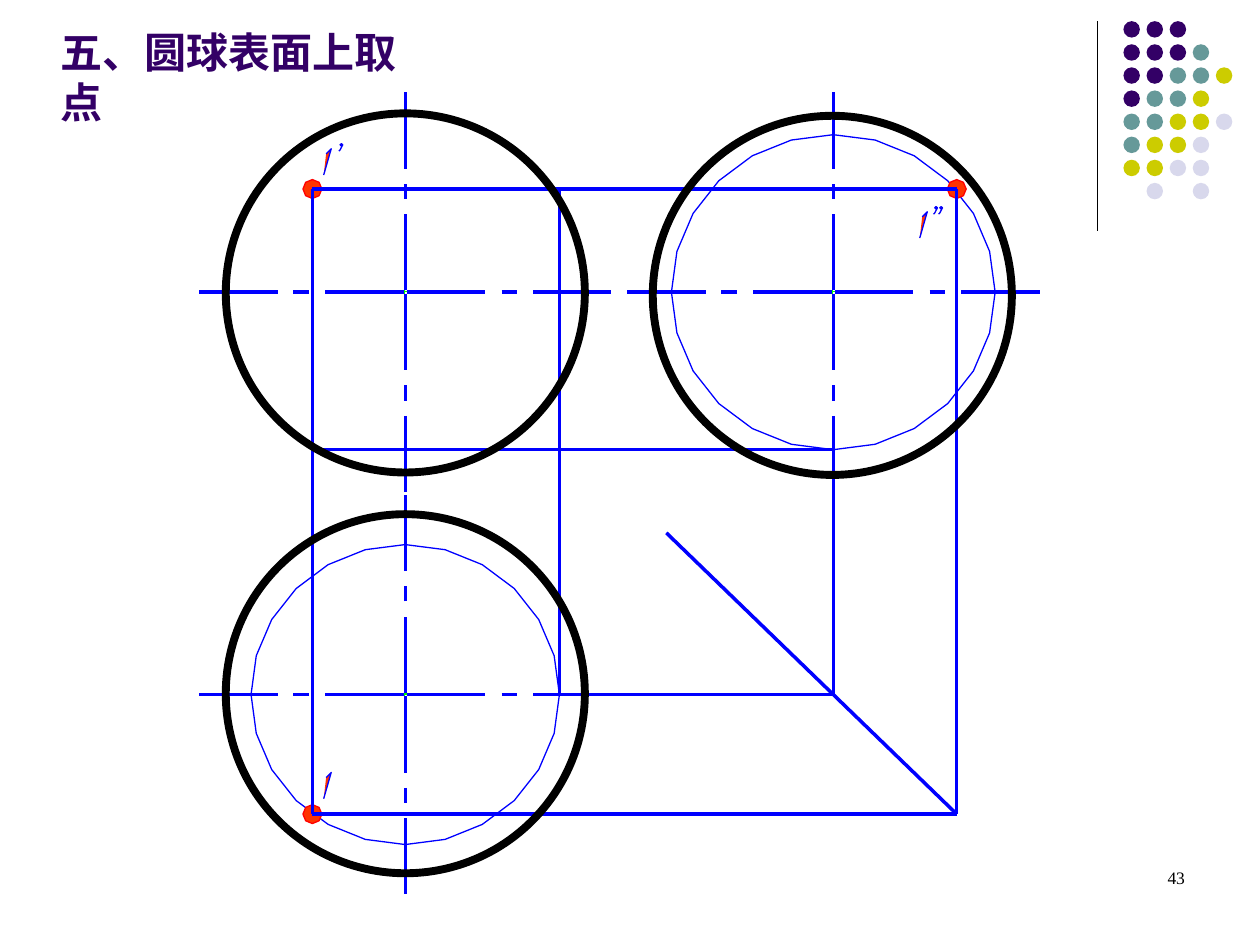
from math import cos, pi, sin

from lxml import etree
from pptx import Presentation
from pptx.dml.color import RGBColor
from pptx.enum.shapes import MSO_CONNECTOR, MSO_SHAPE
from pptx.enum.text import MSO_ANCHOR, MSO_AUTO_SIZE, PP_ALIGN
from pptx.oxml.ns import qn
from pptx.util import Pt

LINE, OVAL = MSO_CONNECTOR.STRAIGHT, MSO_SHAPE.OVAL
LEFT, RIGHT = PP_ALIGN.LEFT, PP_ALIGN.RIGHT
TOP, FIXED = MSO_ANCHOR.TOP, MSO_AUTO_SIZE.NONE

BLACK = RGBColor(0x00, 0x00, 0x00)
BLUE = RGBColor(0x00, 0x00, 0xFF)
GREEN = RGBColor(0x00, 0xFF, 0x00)
RED = RGBColor(0xFF, 0x00, 0x00)
FLAME = RGBColor(0xFF, 0x33, 0x00)
PURPLE = RGBColor(0x33, 0x00, 0x66)
TEAL = RGBColor(0x66, 0x99, 0x99)
LIME = RGBColor(0xCC, 0xCC, 0x00)
PALE = RGBColor(0xD8, 0xD8, 0xEC)

deck = Presentation()
deck.slide_width, deck.slide_height = Pt(720), Pt(540)
slide = deck.slides.add_slide(deck.slide_layouts[5])
shapes = slide.shapes


def write(box, text, size, font, color, bold=False, align=LEFT, wrap=True):
    frame = box.text_frame
    frame.word_wrap = wrap
    frame.auto_size = FIXED
    frame.vertical_anchor = TOP
    para = frame.paragraphs[0]
    para.text = text
    para.alignment = align
    para.font.size = Pt(size)
    para.font.name = font
    para.font.bold = bold
    para.font.color.rgb = color


def trace(points, line=BLUE, fill=None, closed=False):
    """Draw a hairline outline through points given in points of length."""
    first, *rest = [(Pt(x), Pt(y)) for x, y in points]
    pen = shapes.build_freeform(*first)
    pen.add_line_segments(rest, close=closed)
    form = pen.convert_to_shape()
    form.shadow.inherit = False
    form.line.color.rgb = line
    form.line.width = Pt(0)
    if fill is None:
        form.fill.background()
    else:
        form.fill.solid()
        form.fill.fore_color.rgb = fill


# Title and page number
title = shapes.title
title.left, title.top, title.width, title.height = Pt(27.4), Pt(11.5), Pt(230.4), Pt(36)
write(title, "五、圆球表面上取点", 24, "Arial", PURPLE, bold=True, wrap=False)
page = shapes.add_textbox(Pt(516.2), Pt(491.8), Pt(168), Pt(36))
write(page, "43", 10, "Times New Roman", BLACK, align=RIGHT)

# Centres of the three views, and the point's projections
front_x, side_x, front_y, plan_y = 231.6, 476.2, 167, 396.9
point_x, depth_x, point_y, depth_y = 178.5, 546.7, 108, 465.2
ring_x, ring_y = 319.7, 257

# Section circles, drawn with 24 sides
for x, y, wide, high in [(front_x, plan_y, 88.1, 85.7), (side_x, front_y, 92.5, 90)]:
    turns = [k * pi / 12 for k in range(24)]
    trace([(x + wide * cos(t), y + high * sin(t)) for t in turns], closed=True)

# Red dots, drawn with 8 sides
for x, y in [(point_x, point_y), (depth_x, point_y), (point_x, depth_y)]:
    turns = [k * pi / 4 for k in range(8)]
    dot = [(x + 5.4 * cos(t), y + 5.4 * sin(t)) for t in turns]
    trace(dot, line=RED, fill=FLAME, closed=True)

# Point labels: the digit 1 and its prime marks
one = [(1.4, 2.9), (2.2, 2.2), (4.3, 0), (0, 15)]
prime = [(2.2, 0.7), (1.4, 1.4), (0.7, 0.7), (1.4, 0), (2.2, 0.7), (1.4, 2.2), (0.7, 3.6), (0, 4.3)]
marks = [
    (one, 185, 85), (one, 185, 441.4), (one, 525.6, 121),
    (prime, 193.7, 82.1), (prime, 533.5, 118.1), (prime, 536.4, 118.1),
]
for mark, x, y in marks:
    trace([(x + dx, y + dy) for dx, dy in mark], fill=FLAME)

# Projection lines, then the dashed centre lines of each view
lines = [
    (point_x, depth_y, depth_x, depth_y, BLUE, 0),
    (point_x, point_y, point_x, depth_y, BLUE, 0),
    (point_x, point_y, depth_x, point_y, BLUE, 0),
    (depth_x, point_y, depth_x, depth_y, BLUE, 0),
    (ring_x, point_y, ring_x, plan_y, BLUE, 0),
    (point_x, ring_y, side_x, ring_y, BLUE, 0),
    (349.2, plan_y, side_x, plan_y, BLUE, 0),
    (side_x, 280.8, side_x, plan_y, BLUE, 0),
    (380.8, 304.5, depth_x, depth_y, BLUE, 0),
    (627, 12.2, 627, 131.8, BLACK, 0.75),
]
across = [(1, 45.7), (55, 64), (73, 117.8)]
down = [(1, 44.6), (53.3, 62), (70.6, 114.2)]
for x, y in [(front_x, front_y), (front_x, plan_y), (side_x, front_y)]:
    lines.append((x - 0.7, y, x, y, GREEN, 0))
    lines.append((x, y, x, y - 0.7, GREEN, 0))
    for sign in (-1, 1):
        lines += [(x + sign * a, y, x + sign * b, y, BLUE, 0) for a, b in across]
        lines += [(x, y + sign * a, x, y + sign * b, BLUE, 0) for a, b in down]

for x1, y1, x2, y2, color, width in lines:
    rule = shapes.add_connector(LINE, Pt(x1), Pt(y1), Pt(x2), Pt(y2))
    rule.line.color.rgb = color
    rule.line.width = Pt(width)
    etree.SubElement(rule._element.spPr, qn("a:effectLst"))

# Sphere outlines
for x, y in [(129, 293.8), (373, 66.2), (129, 64.8)]:
    ball = shapes.add_shape(OVAL, Pt(x), Pt(y), Pt(205.2), Pt(205.2))
    ball.shadow.inherit = False
    ball.fill.background()
    ball.line.color.rgb = BLACK
    ball.line.width = Pt(4.5)

# Corner pattern of coloured dots
hues = {"P": PURPLE, "T": TEAL, "Y": LIME, "L": PALE}
rows = ["PPP", "PPPT", "PPTTY", "PTTY", "TTYYL", "TYYL", "YYLL", ".L.L"]
for r, row in enumerate(rows):
    for c, key in enumerate(row):
        if key in hues:
            pip = shapes.add_shape(OVAL, Pt(642 + 13.2 * c), Pt(12.1 + 13.2 * r), Pt(9.4), Pt(9.4))
            pip.shadow.inherit = False
            pip.fill.solid()
            pip.fill.fore_color.rgb = hues[key]
            pip.line.fill.background()

deck.save("out.pptx")
